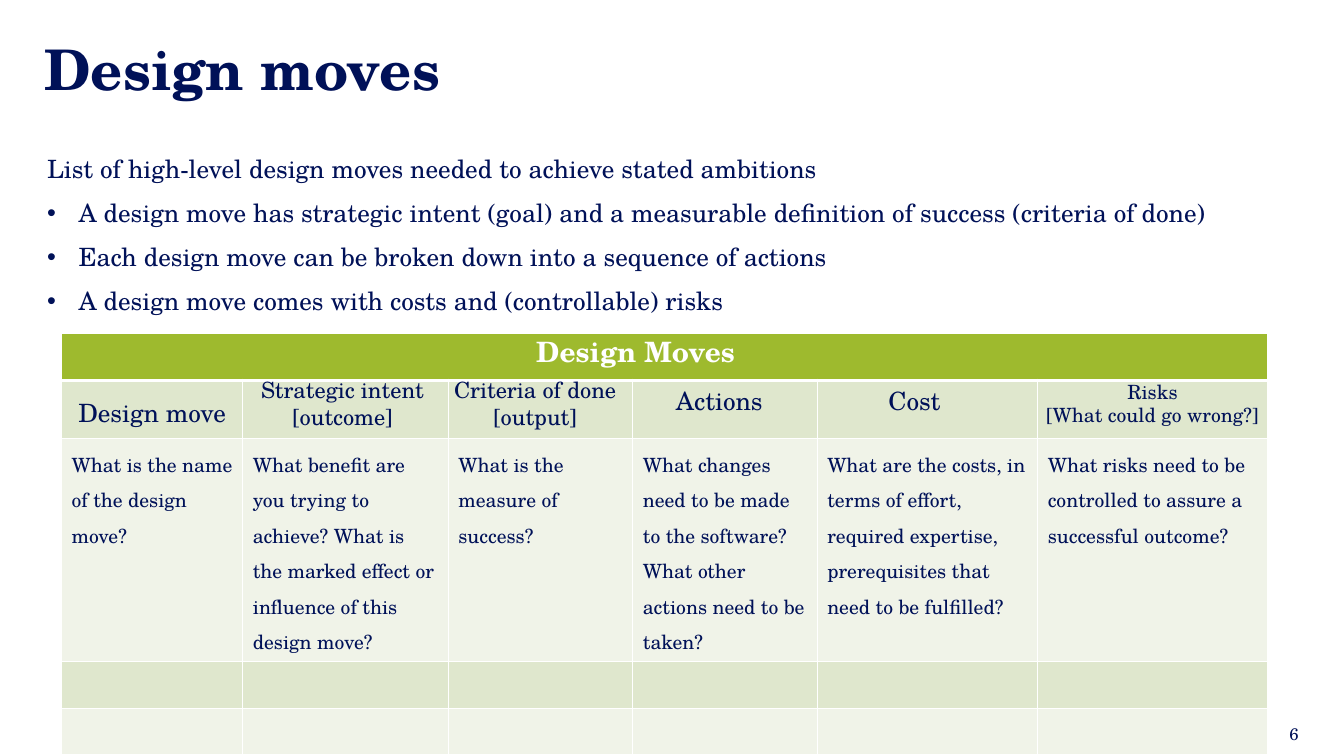
from pptx import Presentation
from pptx.dml.color import RGBColor
from pptx.enum.text import MSO_ANCHOR, MSO_AUTO_SIZE, PP_ALIGN
from pptx.oxml import parse_xml
from pptx.oxml.ns import nsdecls, qn
from pptx.util import Cm, Pt

COLORS = {"navy": "001158", "white": "FFFFFF", "green": "9EBA2E",
          "band": "DFE7CD", "pale": "F0F3E8"}
FONT = "TeX Gyre Schola"

INTRO = "List of high-level design moves needed to achieve stated ambitions"
POINTS = [
    "A design move has strategic intent (goal) and a measurable definition of success (criteria of done)",
    "Each design move can be broken down into a sequence of actions",
    "A design move comes with costs and (controllable) risks",
]
QUESTIONS = [
    "What is the name of the design move?",
    "What benefit are you trying to achieve? What is the marked effect or influence of this design move?",
    "What is the measure of success?",
    "What changes need to be made to the software? What other actions need to be taken?",
    "What are the costs, in terms of effort, required expertise, prerequisites that need to be fulfilled?",
    "What risks need to be controlled to assure a successful outcome?",
]
COLUMN_WIDTHS = [4.57, 5.18, 4.65, 4.65, 5.56, 5.79]
ROW_HEIGHTS = [1.18, 1.45, 5.36, 1.18, 1.18]
ROW_FILLS = ["green", "band", "pale", "band", "pale"]

# Column headings: lines, place in cm, size, alignment
HEADINGS = [
    (["Risks", "[What could go wrong?]"], (25.98, 9.27, 6.15, 1.32), 14, PP_ALIGN.CENTER),
    (["Cost"], (20.75, 9.4, 4.6, 1.22), 18, PP_ALIGN.CENTER),
    (["Actions"], (16.74, 9.4, 3.61, 0.99), 18, PP_ALIGN.LEFT),
    (["Criteria of done [output]"], (10.19, 9.17, 6.6, 1.22), 16, PP_ALIGN.CENTER),
    (["Strategic intent [outcome]"], (5.84, 9.19, 5.59, 1.6), 16, PP_ALIGN.CENTER),
]


class SlideBuilder:
    """Holds the style and the current slide."""

    def __init__(self, page, font, colors):
        """Keep the slide, the font name and the palette."""
        self.page, self.font, self.colors = page, font, colors

    def color(self, name):
        """Return a palette colour."""
        return RGBColor.from_string(self.colors[name])

    def fill_text(self, frame, lines, size, align=PP_ALIGN.LEFT, color="navy", bold=False):
        """Fill a text frame with one paragraph per line."""
        frame.text = "\n".join(lines)
        for para in frame.paragraphs:
            para.alignment = align
            for span in para.runs:
                span.font.name, span.font.size = self.font, Pt(size)
                span.font.bold = bold
                span.font.color.rgb = self.color(color)

    def set_frame(self, frame, inset, anchor):
        """Set wrapping, margins and anchor of a text frame."""
        frame.word_wrap, frame.auto_size = True, MSO_AUTO_SIZE.NONE
        frame.margin_left = frame.margin_right = Cm(inset)
        frame.margin_top = frame.margin_bottom = Cm(inset)
        frame.vertical_anchor = anchor

    def title(self, text, place, size):
        """Place and format the title."""
        title = self.page.shapes.title
        title.left, title.top, title.width, title.height = map(Cm, place)
        self.set_frame(title.text_frame, 0, MSO_ANCHOR.MIDDLE)
        self.fill_text(title.text_frame, [text], size, bold=True)

    def text(self, lines, place, size, inset=0.3, anchor=MSO_ANCHOR.TOP, **style):
        """Add a text box and return its text frame."""
        frame = self.page.shapes.add_textbox(*map(Cm, place)).text_frame
        self.set_frame(frame, inset, anchor)
        self.fill_text(frame, lines, size, **style)
        return frame

    def bullets(self, intro, points, place, size):
        """Add an introduction followed by bulleted points."""
        frame = self.text([intro, *points], place, size, inset=0)
        for para in frame.paragraphs:
            para.line_spacing = 0.9
            para.space_before = para.space_after = Pt(6)
        for para in frame.paragraphs[1:]:
            settings = para._p.get_or_add_pPr()
            settings.set("marL", str(Cm(0.79)))
            settings.set("indent", str(-Cm(0.79)))
            for xml in (f'<a:buFont {nsdecls("a")} typeface="Arial"/>',
                        f'<a:buChar {nsdecls("a")} char="&#8226;"/>'):
                settings.append(parse_xml(xml))

    def border(self, cell, sides, width):
        """Draw white borders on the given sides, ahead of the cell fill."""
        settings = cell._tc.get_or_add_tcPr()
        for index, side in enumerate(sides):
            settings.insert(index, parse_xml(
                f'<a:ln{side} {nsdecls("a")} w="{Pt(width)}"><a:solidFill>'
                f'<a:srgbClr val="{self.colors["white"]}"/></a:solidFill></a:ln{side}>'))

    def table(self, left, top, widths, heights, fills):
        """Add a banded table whose first row is merged."""
        table = self.page.shapes.add_table(
            len(heights), len(widths), Cm(left), Cm(top),
            Cm(sum(widths)), Cm(sum(heights))).table
        for column, width in zip(table.columns, widths):
            column.width = Cm(width)
        for index, (row, height, fill) in enumerate(zip(table.rows, heights, fills)):
            row.height = Cm(height)
            for cell in row.cells:
                cell.fill.solid()
                cell.fill.fore_color.rgb = self.color(fill)
                self.border(cell, "LRTB", 1)
                edge = {0: "B", 1: "T"}.get(index)
                if edge:
                    cell._tc.tcPr.find(qn(f"a:ln{edge}")).set("w", str(Pt(3)))
        table.cell(0, 0).merge(table.cell(0, len(widths) - 1))
        return table

    def cell(self, cell, text, size, align=PP_ALIGN.LEFT):
        """Fill in the text of a table cell."""
        self.fill_text(cell.text_frame, [text], size, align)
        cell.text_frame.paragraphs[0].line_spacing = 1.23


def main():
    """Build the design moves slide."""
    deck = Presentation()
    deck.slide_width, deck.slide_height = Cm(33.88), Cm(19.05)
    page = deck.slides.add_slide(deck.slide_layouts[5])
    builder = SlideBuilder(page, FONT, COLORS)

    builder.title("Design moves", (1.12, 1.12, 31.65, 1.19), 40)
    builder.bullets(INTRO, POINTS, (1.19, 3.94, 31.65, 4.62), 18)
    builder.text(["6"], (25.37, 17.98, 7.62, 1.02), 12, inset=0.25,
                 anchor=MSO_ANCHOR.MIDDLE, align=PP_ALIGN.RIGHT)

    table = builder.table(1.55, 8.41, COLUMN_WIDTHS, ROW_HEIGHTS, ROW_FILLS)
    builder.cell(table.cell(1, 0), "Design move", 18, PP_ALIGN.CENTER)
    for column, question in enumerate(QUESTIONS):
        builder.cell(table.cell(2, column), question, 14)

    builder.text(["Design Moves"], (6.73, 8.13, 18.59, 1.68), 20,
                 align=PP_ALIGN.CENTER, color="white", bold=True)
    for lines, place, size, align in HEADINGS:
        builder.text(lines, place, size, align=align)

    deck.save("out.pptx")


main()
